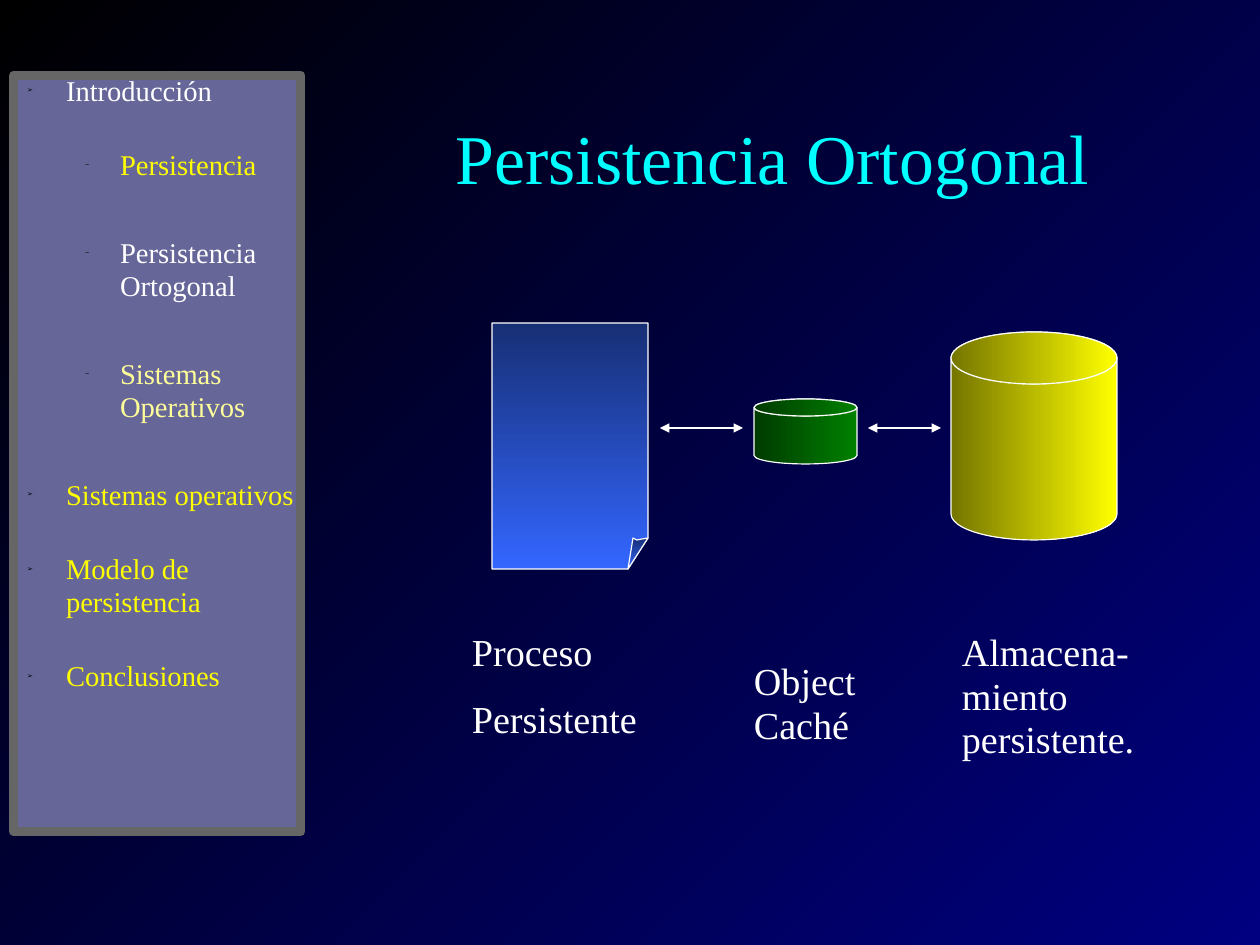
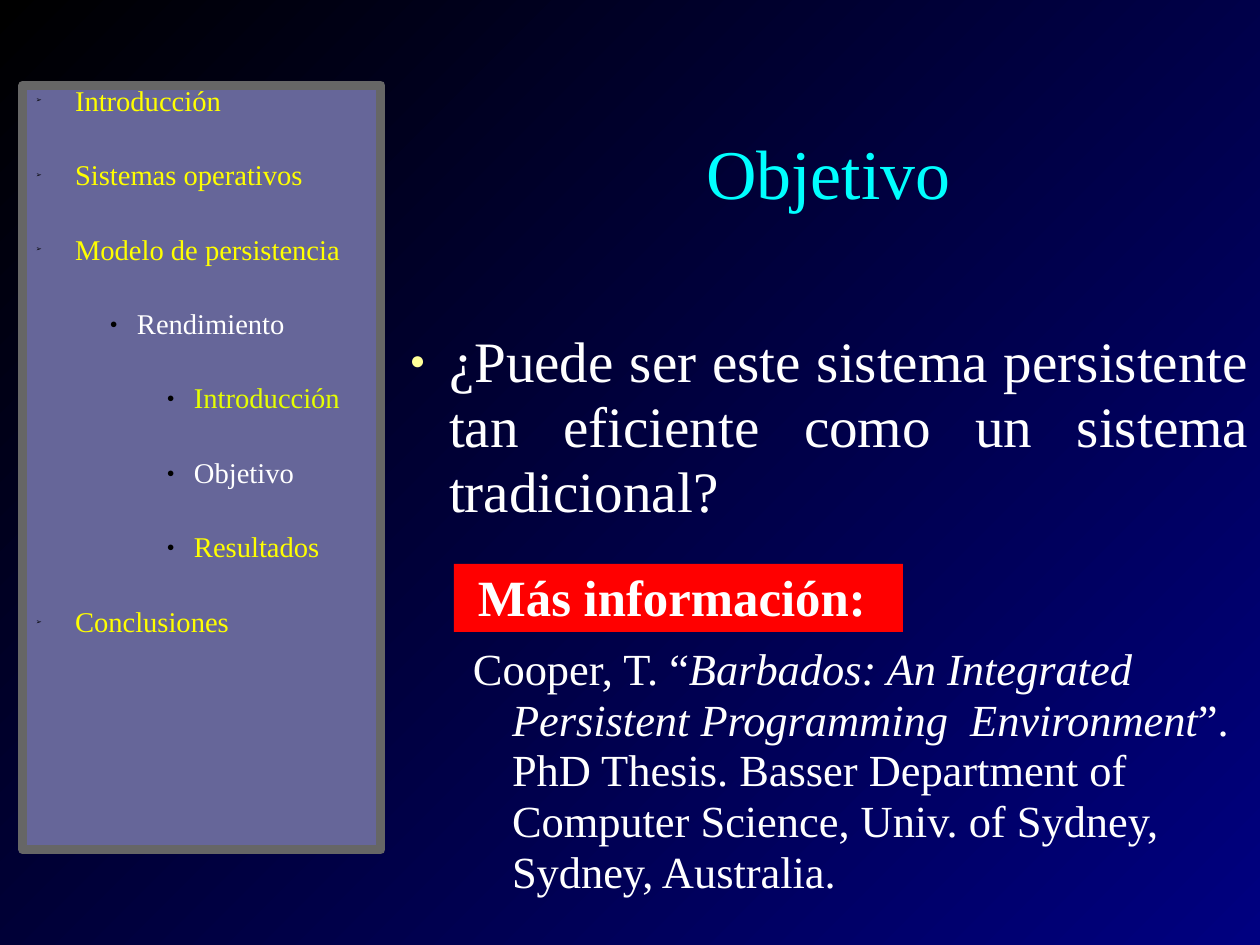
from dataclasses import dataclass

from lxml import etree
from pptx import Presentation
from pptx.dml.color import RGBColor
from pptx.enum import shapes, text
from pptx.oxml import ns
from pptx.util import Emu, Pt

PX = 8000
FONT = "Times New Roman"
BLACK = RGBColor(0x00, 0x00, 0x00)
NAVY = RGBColor(0x00, 0x00, 0x80)
WHITE = RGBColor(0xFF, 0xFF, 0xFF)
CYAN = RGBColor(0x00, 0xFF, 0xFF)
YELLOW = RGBColor(0xFF, 0xFF, 0x00)
PALE_YELLOW = RGBColor(0xFF, 0xFF, 0x99)
LIME = RGBColor(0xE6, 0xFF, 0x00)
OLIVE = RGBColor(0x75, 0x75, 0x00)
GREEN = RGBColor(0x00, 0x80, 0x00)
DARK_GREEN = RGBColor(0x00, 0x3B, 0x00)
BLUE = RGBColor(0x33, 0x66, 0xFF)
DARK_BLUE = RGBColor(0x17, 0x2F, 0x75)
PANEL = RGBColor(0x66, 0x66, 0x99)
FRAME = RGBColor(0x66, 0x66, 0x66)
RED = RGBColor(0xFF, 0x00, 0x00)


@dataclass
class Style:
    level: int = 0
    margin: int = 0
    indent: int = 0
    before: float = 0
    after: float = 0
    bullet: str = ""
    bullet_size: int = 100
    bullet_color: RGBColor = BLACK
    align: text.PP_ALIGN = text.PP_ALIGN.LEFT


TITLE = Style(align=text.PP_ALIGN.CENTER)
LABEL = Style(before=14.4)
HANGING = Style(margin=52, indent=-39)
QUESTION = Style(margin=52, indent=-39, bullet="●", bullet_size=45,
                 bullet_color=PALE_YELLOW, align=text.PP_ALIGN.JUSTIFY)
CHAPTER = Style(0, 52, -39, 21.4, 5, "➢", 25)
SECTION = Style(1, 106, -35, 21.4, 13.6, "−", 25)
TOPIC = Style(2, 114, -27, 21.4, 5, "●", 45)
SUBTOPIC = Style(3, 171, -27, 21.4, 5, "●", 45)


def px(value):
    return Emu(value * PX)


def place(shape, box):
    shape.left, shape.top, shape.width, shape.height = map(px, box)


def add_child(parent, tag, **attributes):
    return etree.SubElement(parent, ns.qn(tag), attributes)


def set_gradient(fill, start, end, angle):
    fill.gradient()
    fill.gradient_angle = angle
    for stop, color in zip(fill.gradient_stops, (start, end)):
        stop.color.rgb = color


def set_bullet(para, style):
    properties = para._p.get_or_add_pPr()
    properties.set("marL", str(px(style.margin)))
    properties.set("indent", str(px(style.indent)))
    if not style.bullet:
        add_child(properties, "a:buNone")
        return
    color = add_child(properties, "a:buClr")
    add_child(color, "a:srgbClr", val=str(style.bullet_color))
    add_child(properties, "a:buSzPct", val=str(style.bullet_size * 1000))
    add_child(properties, "a:buChar", char=style.bullet)


def prepare_frame(shape, insets=(11, 6), anchor=text.MSO_ANCHOR.TOP):
    frame = shape.text_frame
    frame.word_wrap = True
    frame.auto_size = text.MSO_AUTO_SIZE.NONE
    frame.vertical_anchor = anchor
    frame.margin_left = frame.margin_right = px(insets[0])
    frame.margin_top = frame.margin_bottom = px(insets[1])
    return frame


def add_span(para, words, size, color, bold=False, italic=False):
    span = para.add_run()
    span.text = words
    span.font.name = FONT
    span.font.size = Pt(size)
    span.font.color.rgb = color
    span.font.bold = bold
    span.font.italic = italic


def add_para(frame, style):
    first = not frame.paragraphs[0].runs
    para = frame.paragraphs[0] if first else frame.add_paragraph()
    para.level = style.level
    set_bullet(para, style)
    para.alignment = style.align
    para.line_spacing = 0.95
    para.space_before = Pt(0 if first else style.before)
    para.space_after = Pt(style.after)
    return para


def title(page, box, words):
    holder = page.shapes.title
    place(holder, box)
    frame = prepare_frame(holder, anchor=text.MSO_ANCHOR.MIDDLE)
    add_span(add_para(frame, TITLE), words, 44, CYAN)


def sidebar(page, box, entries):
    holder = page.placeholders[1]
    place(holder, box)
    holder.fill.solid()
    holder.fill.fore_color.rgb = PANEL
    holder.line.color.rgb = FRAME
    holder.line.width = Pt(5.67)
    frame = prepare_frame(holder, (0, 0))
    for style, words, color in entries:
        add_span(add_para(frame, style), words, 18, color)


def finish_figure(shape, dark, bright, angle):
    shape.shadow.inherit = False
    set_gradient(shape.fill, dark, bright, angle)
    shape.line.color.rgb = WHITE
    shape.line.width = Pt(0.75)


def outline(page, points):
    builder = page.shapes.build_freeform(*points[0], scale=PX)
    builder.add_line_segments(points[1:], close=True)
    finish_figure(builder.convert_to_shape(), DARK_BLUE, BLUE, 270)


def document(page, box):
    left, top, width, height = box
    right, bottom = left + width, top + height
    fold_left, fold_top = right - 20, bottom - 31
    outline(page, [(left, top), (right, top), (right, fold_top),
                   (fold_left, bottom), (left, bottom)])
    outline(page, [(fold_left, bottom), (fold_left + 5, fold_top),
                   (fold_left + 9, fold_top + 2), (fold_left + 14, fold_top + 1),
                   (right, fold_top)])


def cylinder(page, box, lid_height, dark, bright):
    left, top, width, height = box
    body = page.shapes.add_shape(shapes.MSO_SHAPE.CAN, *map(px, box))
    body.adjustments[0] = lid_height / min(width, height)
    lid = page.shapes.add_shape(
        shapes.MSO_SHAPE.OVAL, *map(px, (left, top, width, lid_height)))
    for shape in (body, lid):
        finish_figure(shape, dark, bright, 0)


def double_arrow(page, left, right, middle):
    arrow = page.shapes.add_connector(
        shapes.MSO_CONNECTOR.STRAIGHT, px(left), px(middle), px(right), px(middle))
    arrow.line.color.rgb = WHITE
    arrow.line.width = Pt(0.75)
    line = arrow.line._get_or_add_ln()
    add_child(line, "a:headEnd", type="triangle")
    add_child(line, "a:tailEnd", type="triangle")
    add_child(arrow._element.spPr, "a:effectLst")


def label(page, box, paragraphs):
    frame = prepare_frame(page.shapes.add_textbox(*map(px, box)))
    for lines in paragraphs:
        para = add_para(frame, LABEL)
        for number, words in enumerate(lines):
            if number:
                para.add_line_break()
            add_span(para, words, 24, WHITE)


def storage_diagram(page, left, top):
    document(page, (left + 31, top, 156, 246))
    cylinder(page, (left + 293, top + 76, 103, 65), 17, DARK_GREEN, GREEN)
    cylinder(page, (left + 490, top + 9, 166, 208), 52, OLIVE, YELLOW)
    for start, end in ((199, 282), (407, 480)):
        double_arrow(page, left + start, left + end, top + 105)
    label(page, (left, top + 303, 313, 121), [["Proceso"], ["Persistente"]])
    label(page, (left + 282, top + 332, 146, 98), [["Object", "Caché"]])
    label(page, (left + 490, top + 303, 199, 142), [["Almacena-miento persistente."]])


def question(page, box, words):
    holder = page.placeholders[2]
    place(holder, box)
    add_span(add_para(prepare_frame(holder), QUESTION), words, 36, WHITE)


def reference(page, left, top, heading, spans):
    banner = page.shapes.add_shape(
        shapes.MSO_SHAPE.RECTANGLE, *map(px, (left, top, 449, 68)))
    banner.shadow.inherit = False
    banner.fill.solid()
    banner.fill.fore_color.rgb = RED
    banner.line.fill.background()
    add_span(add_para(prepare_frame(banner), HANGING), heading, 32, WHITE, bold=True)
    citation = page.shapes.add_textbox(*map(px, (left - 5, top + 75, 798, 265)))
    para = add_para(prepare_frame(citation), HANGING)
    for words, italic in spans:
        add_span(para, words, 28, WHITE, italic=italic)


def orthogonal_page(deck):
    page = deck.slides.add_slide(deck.slide_layouts.get_by_name("Title and Content"))
    title(page, (337, 115, 872, 91), "Persistencia Ortogonal")
    sidebar(page, (14, 75, 287, 757), [
        (CHAPTER, "Introducción", WHITE),
        (SECTION, "Persistencia", YELLOW),
        (SECTION, "Persistencia Ortogonal", WHITE),
        (SECTION, "Sistemas Operativos", PALE_YELLOW),
        (CHAPTER, "Sistemas operativos", YELLOW),
        (CHAPTER, "Modelo de persistencia", YELLOW),
        (CHAPTER, "Conclusiones", YELLOW),
    ])
    storage_diagram(page, 461, 323)


def objective_page(deck):
    page = deck.slides.add_slide(deck.slide_layouts.get_by_name("Two Content"))
    title(page, (398, 130, 861, 91), "Objetivo")
    sidebar(page, (23, 85, 358, 765), [
        (CHAPTER, "Introducción", YELLOW),
        (CHAPTER, "Sistemas operativos", YELLOW),
        (CHAPTER, "Modelo de persistencia", YELLOW),
        (TOPIC, "Rendimiento", WHITE),
        (SUBTOPIC, "Introducción", LIME),
        (SUBTOPIC, "Objetivo", WHITE),
        (SUBTOPIC, "Resultados", YELLOW),
        (CHAPTER, "Conclusiones", YELLOW),
    ])
    question(page, (386, 324, 874, 207),
             "¿Puede ser este sistema persistente tan eficiente como un sistema tradicional?")
    reference(page, 454, 564, "Más información:", [
        ("Cooper, T. “", False),
        ("Barbados: An Integrated Persistent Programming  Environment", True),
        ("”. PhD Thesis. Basser Department of Computer Science, "
         "Univ. of Sydney, Sydney, Australia.", False),
    ])


def main():
    deck = Presentation()
    deck.slide_width, deck.slide_height = px(1260), px(945)
    set_gradient(deck.slide_master.background.fill, BLACK, NAVY, 315)
    orthogonal_page(deck)
    objective_page(deck)
    deck.save("out.pptx")


if __name__ == "__main__":
    main()
